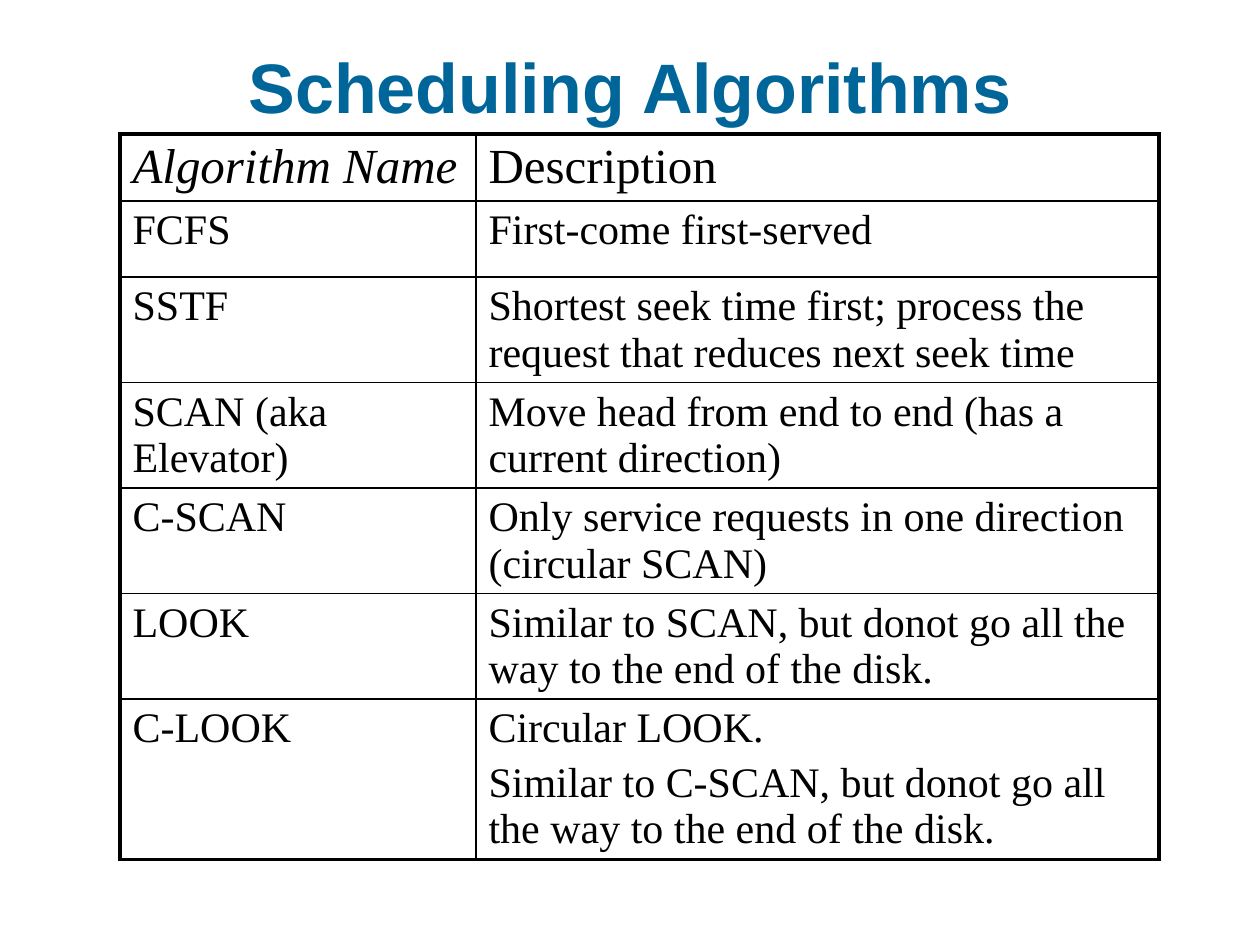
"""Build the Scheduling Algorithms slide: a title above a bordered two-column table."""
from lxml import etree
from pptx import Presentation
from pptx import util as u
from pptx.dml.color import RGBColor
from pptx.enum import text
from pptx.oxml.ns import qn

PX = 914400 // 126
COLORS = {"title": "006699", "ink": "000000"}
COLUMN_WIDTHS = [356, 683]
ROW_HEIGHTS = [67, 76, 105, 105, 105, 105, 160]
ROWS = [
    ("Algorithm Name", "Description"),
    ("FCFS", "First-come first-served"),
    ("SSTF", "Shortest seek time first; process the request that reduces next seek time"),
    ("SCAN (aka Elevator)", "Move head from end to end (has a current direction)"),
    ("C-SCAN", "Only service requests in one direction (circular SCAN)"),
    ("LOOK", "Similar to SCAN, but donot go all the way to the end of the disk."),
    ("C-LOOK", "Circular LOOK.\nSimilar to C-SCAN, but donot go all the way to the end of the disk."),
]


def set_font(paragraph, name, size, color):
    font = paragraph.font
    font.name, font.size = name, u.Pt(size)
    font.color.rgb = RGBColor.from_string(COLORS[color])


def add_border(cell, side, points):
    line = etree.SubElement(cell._tc.get_or_add_tcPr(), qn(f"a:ln{side}"), w=str(u.Pt(points)))
    fill = etree.SubElement(line, qn("a:solidFill"))
    etree.SubElement(fill, qn("a:srgbClr"), val=COLORS["ink"])


deck = Presentation()
deck.slide_width, deck.slide_height = u.Inches(10), u.Inches(7.5)
page = deck.slides.add_slide(deck.slide_layouts[5])

title = page.shapes.title
title.left, title.top, title.width, title.height = 0, 44 * PX, deck.slide_width, 158 * PX
title.text_frame.text = "Scheduling Algorithms"
title.text_frame.auto_size = text.MSO_AUTO_SIZE.NONE
title.text_frame.vertical_anchor = text.MSO_ANCHOR.TOP
title.text_frame.margin_top = 0
heading = title.text_frame.paragraphs[0]
heading.alignment = text.PP_ALIGN.CENTER
set_font(heading, "Arial", 40, "title")
heading.font.bold = True

frame = page.shapes.add_table(
    len(ROWS), len(COLUMN_WIDTHS), 120 * PX, 134 * PX,
    sum(COLUMN_WIDTHS) * PX, sum(ROW_HEIGHTS) * PX)
table = frame.table
table.first_row = table.horz_banding = False
for column, width in zip(table.columns, COLUMN_WIDTHS):
    column.width = width * PX
for row, height in zip(table.rows, ROW_HEIGHTS):
    row.height = height * PX

for r, words in enumerate(ROWS):
    for c, content in enumerate(words):
        cell = table.cell(r, c)
        cell.text = content
        outer_edges = {"L": c == 0, "R": c == len(words) - 1, "T": r == 0, "B": r == len(ROWS) - 1}
        for side, outer in outer_edges.items():
            add_border(cell, side, 2.25 if outer else 1)
        cell.fill.background()
        for p, paragraph in enumerate(cell.text_frame.paragraphs):
            set_font(paragraph, "Times New Roman", 28 if r == 0 else 24, "ink")
            if p:
                paragraph.space_before = u.Pt(4.8)
table.cell(0, 0).text_frame.paragraphs[0].font.italic = True

deck.save("out.pptx")
